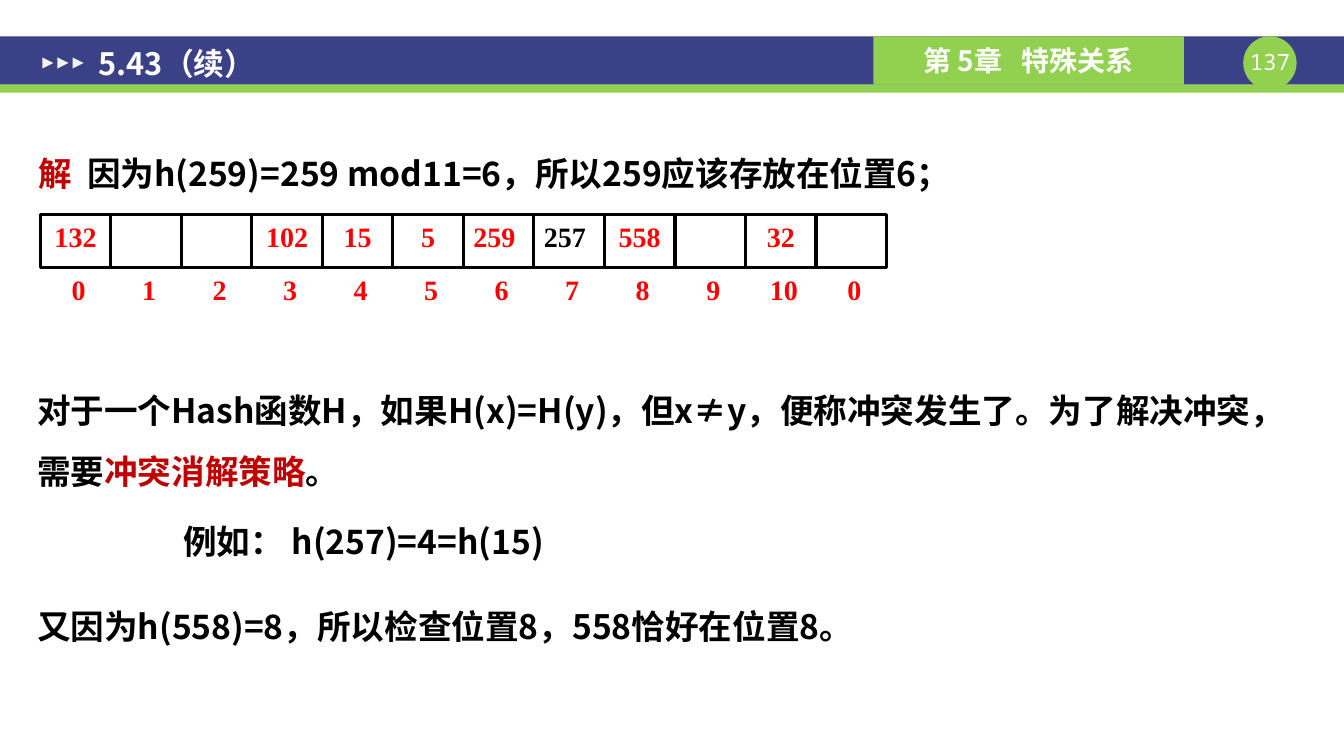
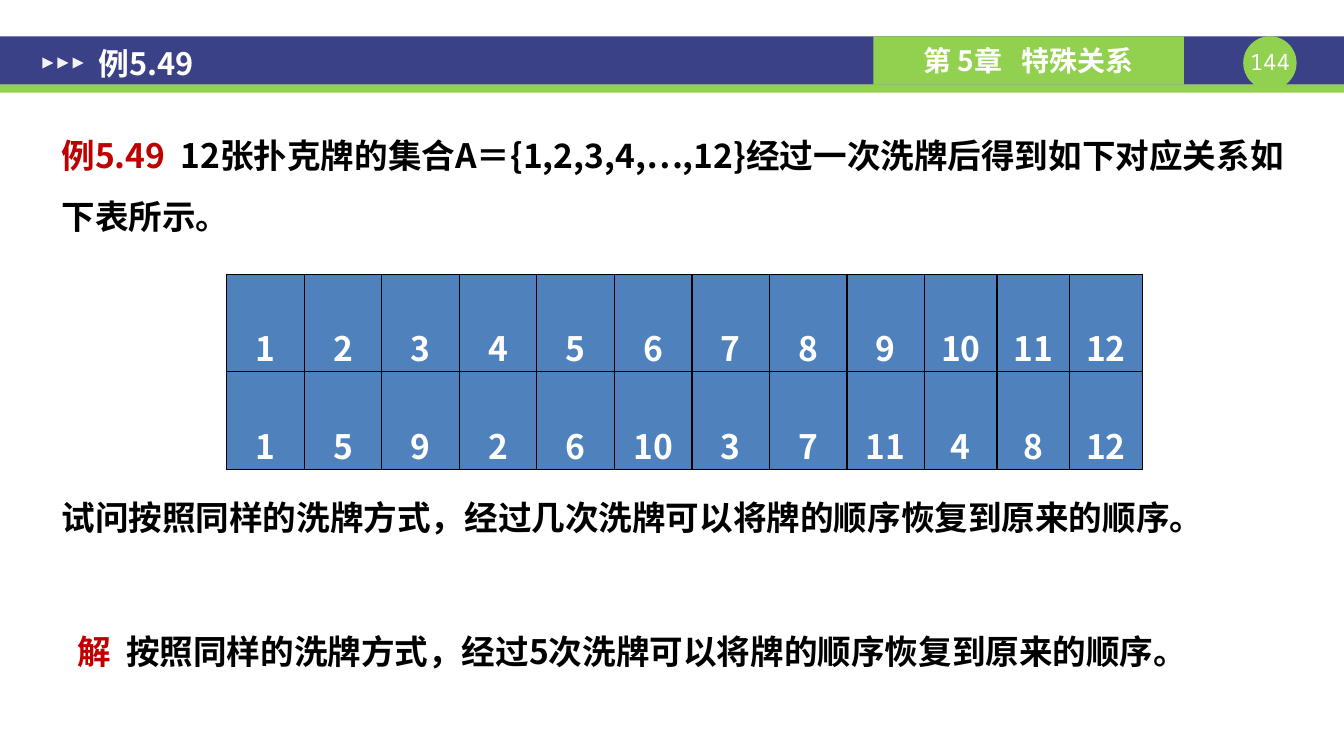
"""Build two lecture slides: hash table positions and a card shuffle."""
from pptx import Presentation
from pptx.dml.color import RGBColor
from pptx.enum.shapes import MSO_SHAPE
from pptx.enum.text import MSO_ANCHOR, MSO_AUTO_SIZE, PP_ALIGN
from pptx.oxml.ns import qn
from pptx.util import Inches, Pt
from lxml.etree import SubElement

NAVY, GREEN, PALE = "3A4187", "92D050", "F2F2F2"
WHITE, BLACK, RED, DARK_RED, BLUE = "FFFFFF", "000000", "FF0000", "C00000", "4F81BD"
SANS, MONO, SERIF = "Noto Sans CJK SC", "Noto Sans Mono", "Times New Roman"
BODY_INSETS = (0.13, 0.07, 0.13, 0.07)
BOX_INSETS = (0.1, 0.05, 0.1, 0.05)


def rgb(value):
    """Turn a hex string into a colour."""
    return RGBColor.from_string(value)


def add_span(para, text, size=24, color=BLACK, font=SANS, bold=True, tracking=0):
    """Add one formatted run, with tracking in points after each letter."""
    span = para.add_run()
    span.text = text
    span.font.size = Pt(size)
    span.font.bold = bold
    span.font.color.rgb = rgb(color)
    span.font.name = font
    properties = span.font._element
    SubElement(properties, qn("a:ea"), typeface=font)
    if tracking:
        properties.set("spc", str(round(tracking * 100)))


def write_para(para, spans, align=PP_ALIGN.LEFT, spacing=1.0, before=0, gap=5.4, **style):
    """Write (text, colour) pairs without a bullet, widening a lone space by gap."""
    properties = para._p.get_or_add_pPr()
    properties.set("marL", "0")
    properties.set("indent", "0")
    SubElement(properties, qn("a:buNone"))
    para.alignment = align
    para.line_spacing = spacing
    para.space_before = Pt(before)
    para.space_after = Pt(0)
    for text, color in spans:
        add_span(para, text, color=color, tracking=gap if text == " " else 0, **style)


def set_frame(shape, insets=BOX_INSETS, anchor=MSO_ANCHOR.TOP):
    """Set wrapping, insets and anchor, and return the first paragraph."""
    frame = shape.text_frame
    frame.word_wrap = True
    frame.auto_size = MSO_AUTO_SIZE.NONE
    frame.vertical_anchor = anchor
    (frame.margin_left, frame.margin_top,
     frame.margin_right, frame.margin_bottom) = map(Inches, insets)
    return frame.paragraphs[0]


def place(shape, at):
    """Move and size a placeholder."""
    shape.left, shape.top, shape.width, shape.height = map(Inches, at)


def add_block(page, at, fill, kind=MSO_SHAPE.RECTANGLE, line=None):
    """Add a flat filled shape, outlined only when a line colour is given."""
    block = page.shapes.add_shape(kind, *map(Inches, at))
    block.shadow.inherit = False
    block.fill.solid()
    block.fill.fore_color.rgb = rgb(fill)
    if line:
        block.line.color.rgb = rgb(line)
        block.line.width = Pt(2.25)
    else:
        block.line.fill.background()
    return block


def add_text(page, at, spans, insets=BOX_INSETS, **style):
    """Add a one-paragraph text box."""
    box = page.shapes.add_textbox(*map(Inches, at))
    write_para(set_frame(box, insets), spans, **style)


def add_page(deck, title, number):
    """Add a slide with the shared header, and return it with its body."""
    page = deck.slides.add_slide(deck.slide_layouts[1])
    add_block(page, (0, 0.36, 13.34, 0.48), NAVY)
    add_block(page, (0, 0.84, 13.34, 0.08), GREEN)
    add_block(page, (12.34, 0.36, 0.53, 0.53), GREEN, MSO_SHAPE.OVAL)
    add_text(page, (12.34, 0.48, 0.53, 0.27), [(number, WHITE)], (0, 0, 0, 0),
             align=PP_ALIGN.CENTER, size=16, font=MONO, bold=False)
    chapter = add_block(page, (8.67, 0.36, 3.08, 0.48), GREEN)
    write_para(set_frame(chapter, anchor=MSO_ANCHOR.MIDDLE),
               [("第 5章", WHITE), (" ", WHITE), ("特殊关系", WHITE)],
               PP_ALIGN.CENTER, gap=9, size=20)
    for index in range(3):
        arrow = add_block(page, (0.42 + 0.15 * index, 0.57, 0.11, 0.11), PALE,
                          MSO_SHAPE.ISOSCELES_TRIANGLE)
        arrow.rotation = 90
    heading = page.shapes.title
    place(heading, (0.85, 0.39, 5.83, 0.47))
    write_para(set_frame(heading, BODY_INSETS, MSO_ANCHOR.MIDDLE),
               [(title, WHITE)], size=22)
    heading.element.getparent().append(heading.element)
    return page, page.placeholders[1]


def add_hash_cells(page, values, labels, left=0.4, top=2.13, width=0.7, height=0.52):
    """Add storage cells from (text, colour, alignment) entries, labelled below."""
    for index, ((text, color, align), label) in enumerate(zip(values, labels)):
        x = left + width * index
        cell = add_block(page, (x, top, width, height), WHITE, line=BLACK)
        if text:
            write_para(set_frame(cell), [(text, color)], align, size=20, font=SERIF)
        add_text(page, (x + 0.03, top + height, width, 0.43), [(str(label), RED)],
                 align=PP_ALIGN.CENTER, size=20, font=SERIF)


def add_border(cell):
    """Draw a thin black line on each side of a table cell."""
    properties = cell._tc.get_or_add_tcPr()
    for side in ("lnL", "lnR", "lnT", "lnB"):
        line = SubElement(properties, qn(f"a:{side}"), w=str(Pt(1)))
        fill = SubElement(line, qn("a:solidFill"))
        SubElement(fill, qn("a:srgbClr"), val=BLACK)


def add_shuffle_table(page, rows, widths):
    """Add the table that maps card positions before and after a shuffle."""
    table = page.shapes.add_table(
        len(rows), len(widths), Inches(2.25), Inches(2.72),
        Inches(sum(widths)), Inches(0.72 * len(rows))).table
    table.first_row = table.horz_banding = False
    for column, width in zip(table.columns, widths):
        column.width = Inches(width)
    for row_index, row in enumerate(rows):
        for column_index, value in enumerate(row):
            cell = table.cell(row_index, column_index)
            add_border(cell)
            cell.fill.solid()
            cell.fill.fore_color.rgb = rgb(BLUE)
            cell.margin_left = cell.margin_right = Inches(0.07)
            cell.margin_top = cell.margin_bottom = 0
            write_para(cell.text_frame.paragraphs[0], [(str(value), WHITE)],
                       PP_ALIGN.CENTER, spacing=2.0)


def build_hash_page(deck):
    """Build the slide on hash positions and collisions."""
    page, body = add_page(deck, "5.43（续）", "137")
    place(body, (0.25, 1.37, 10.09, 0.63))
    write_para(set_frame(body, BODY_INSETS),
               [("解", DARK_RED), (" ", DARK_RED),
                ("因为h(259)=259 mod11=6，所以259应该存放在位置6；", BLACK)], spacing=1.2)
    values = [(text, RED, PP_ALIGN.CENTER) for text in
              ("132", "", "", "102", "15", "5", "", "", "558", "", "32", "")]
    values[6:8] = [("259", RED, PP_ALIGN.LEFT), ("257", BLACK, PP_ALIGN.LEFT)]
    add_hash_cells(page, values, [*range(11), 0])
    add_text(page, (0.27, 3.62, 12.65, 1.24),
             [("对于一个Hash函数H，如果H(x)=H(y)，但x≠y，便称冲突发生了。为了解决冲突，需要", BLACK),
              ("冲突消解策略", DARK_RED), ("。", BLACK)], spacing=1.5)
    add_text(page, (1.72, 5.12, 4.13, 0.5), [("例如： h(257)=4=h(15)", BLACK)])
    add_text(page, (0.27, 5.96, 9.24, 0.5),
             [("又因为h(558)=8，所以检查位置8，558恰好在位置8。", BLACK)])


def build_shuffle_page(deck):
    """Build the slide on repeated card shuffles."""
    page, body = add_page(deck, "例5.49", "144")
    place(body, (0.48, 1.07, 12.52, 4.93))
    write_para(set_frame(body, BODY_INSETS),
               [("例5.49", DARK_RED), (" ", DARK_RED),
                ("12张扑克牌的集合A＝{1,2,3,4,…,12}经过一次洗牌后得到如下对应关系如下表所示。", BLACK)],
               spacing=1.5)
    write_para(body.text_frame.add_paragraph(),
               [("试问按照同样的洗牌方式，经过几次洗牌可以将牌的顺序恢复到原来的顺序。", BLACK)],
               spacing=1.5, before=172)
    add_shuffle_table(page, [range(1, 13), (1, 5, 9, 2, 6, 10, 3, 7, 11, 4, 8, 12)],
                      [0.77] * 9 + [0.72] * 3)
    add_text(page, (0.67, 6.21, 12, 0.5),
             [("解", DARK_RED), (" ", DARK_RED),
              ("按照同样的洗牌方式，经过5次洗牌可以将牌的顺序恢复到原来的顺序。", BLACK)])


def main():
    """Build and save the deck."""
    deck = Presentation()
    deck.slide_width, deck.slide_height = Inches(13.34), Inches(7.5)
    build_hash_page(deck)
    build_shuffle_page(deck)
    deck.save("out.pptx")


if __name__ == "__main__":
    main()
